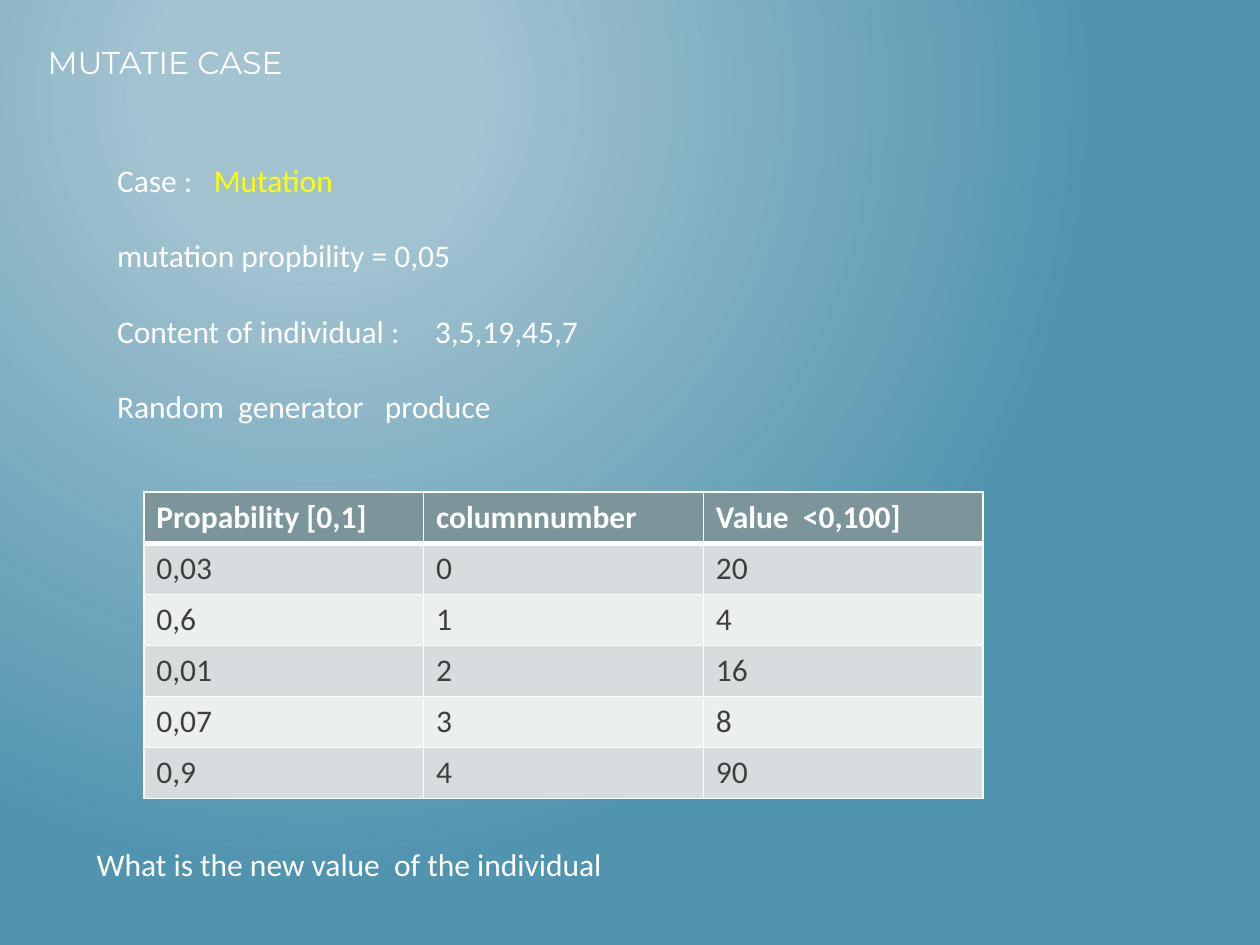
from typing import NamedTuple

from pptx import Presentation
from pptx.dml.color import RGBColor
from pptx.oxml import parse_xml
from pptx.oxml.ns import nsdecls, qn
from pptx.slide import Slide
from pptx.table import _Cell
from pptx.text.text import _Run
from pptx.util import Cm, Pt

WHITE, YELLOW, DARK = "FFFFFF", "FFFF00", "3F3F3F"
HEADER_FILL, BAND_FILLS = "7C959A", ("D7DDDE", "ECEFEF")


class Span(NamedTuple):
    """A stretch of text in one colour."""
    text: str
    color: str = WHITE


class TextBlock(NamedTuple):
    """A text box: place in centimetres, and its lines of spans."""
    left: float
    top: float
    width: float
    height: float
    lines: list[list[Span]]
    font: str = "Calibri"
    line_gap: float = 0


TEXT_BLOCKS = [
    TextBlock(0.71, 0.74, 5.77, 5.49, [[Span("MUTATIE CASE")]], "Montserrat"),
    TextBlock(2.11, 3.12, 22, 7.19, [
        [Span("Case :   "), Span("Mutation", YELLOW)],
        [Span("mutation propbility = 0,05")],
        [Span("Content of individual :     3,5,19,45,7")],
        [Span("Random  generator   produce ")],
    ], line_gap=0.76),
    TextBlock(1.7, 16.92, 18.39, 1.02,
              [[Span("What is the new value  of the individual")]]),
]

TABLE_ROWS = [
    ("Propability [0,1]", "columnnumber", "Value  <0,100]"),
    ("0,03", "0", "20"),
    ("0,6", "1", "4"),
    ("0,01", "2", "16"),
    ("0,07", "3", "8"),
    ("0,9", "4", "90"),
]


def rgb(color: str) -> RGBColor:
    """Turn a hex string into a colour."""
    return RGBColor.from_string(color)


def format_run(run: _Run, color: str, font: str = "Calibri", bold: bool = False) -> None:
    """Set the font, colour and weight of a run."""
    run.font.name = font
    run.font.size = Pt(18)
    run.font.bold = bold
    run.font.color.rgb = rgb(color)


def paint_background(slide: Slide) -> None:
    """Fill the background with a circular gradient."""
    fill = slide.background.fill
    fill.gradient()
    for stop, position, color in zip(fill.gradient_stops, (0.2, 1), ("A3C3D1", "5194AF")):
        stop.position = position
        stop.color.rgb = rgb(color)
    gradient = slide.element.find(".//" + qn("a:gradFill"))
    gradient.replace(gradient.find(qn("a:lin")), parse_xml(
        f'<a:path {nsdecls("a")} path="circle">'
        '<a:fillToRect l="50000" t="20000" r="100000" b="100000"/></a:path>'))


def add_text_block(slide: Slide, block: TextBlock) -> None:
    """Add a text box with one paragraph for each line."""
    box = slide.shapes.add_textbox(
        Cm(block.left), Cm(block.top), Cm(block.width), Cm(block.height))
    text_frame = box.text_frame
    text_frame.word_wrap = True
    for index, line in enumerate(block.lines):
        paragraph = text_frame.add_paragraph() if index else text_frame.paragraphs[0]
        paragraph.space_before = Cm(block.line_gap if index else 0)
        for span in line:
            run = paragraph.add_run()
            run.text = span.text
            format_run(run, span.color, block.font)


def set_borders(cell: _Cell, top: float, bottom: float) -> None:
    """Draw white borders, with top and bottom widths in points."""
    properties = cell._tc.get_or_add_tcPr()
    for side, width in (("L", 1), ("R", 1), ("T", top), ("B", bottom)):
        properties.append(parse_xml(
            f'<a:ln{side} {nsdecls("a")} w="{Pt(width)}"><a:solidFill>'
            f'<a:srgbClr val="{WHITE}"/></a:solidFill></a:ln{side}>'))


def add_value_table(slide: Slide) -> None:
    """Add the table of random values."""
    row_count, column_count = len(TABLE_ROWS), len(TABLE_ROWS[0])
    table = slide.shapes.add_table(
        row_count, column_count, Cm(2.9), Cm(9.92),
        Cm(5.64 * column_count), Cm(1.03 * row_count)).table
    for row_index, values in enumerate(TABLE_ROWS):
        header = row_index == 0
        fill = HEADER_FILL if header else BAND_FILLS[(row_index - 1) % 2]
        for column_index, value in enumerate(values):
            cell = table.cell(row_index, column_index)
            set_borders(cell, 3 if row_index == 1 else 1, 3 if header else 1)
            cell.fill.solid()
            cell.fill.fore_color.rgb = rgb(fill)
            cell.text_frame.text = value
            format_run(cell.text_frame.paragraphs[0].runs[0],
                       WHITE if header else DARK, bold=header)


def main() -> None:
    """Build the slide and save it."""
    presentation = Presentation()
    presentation.slide_width, presentation.slide_height = Cm(25.4), Cm(19.05)
    slide = presentation.slides.add_slide(presentation.slide_layouts[6])
    paint_background(slide)
    for block in TEXT_BLOCKS:
        add_text_block(slide, block)
    add_value_table(slide)
    presentation.save("out.pptx")


main()
